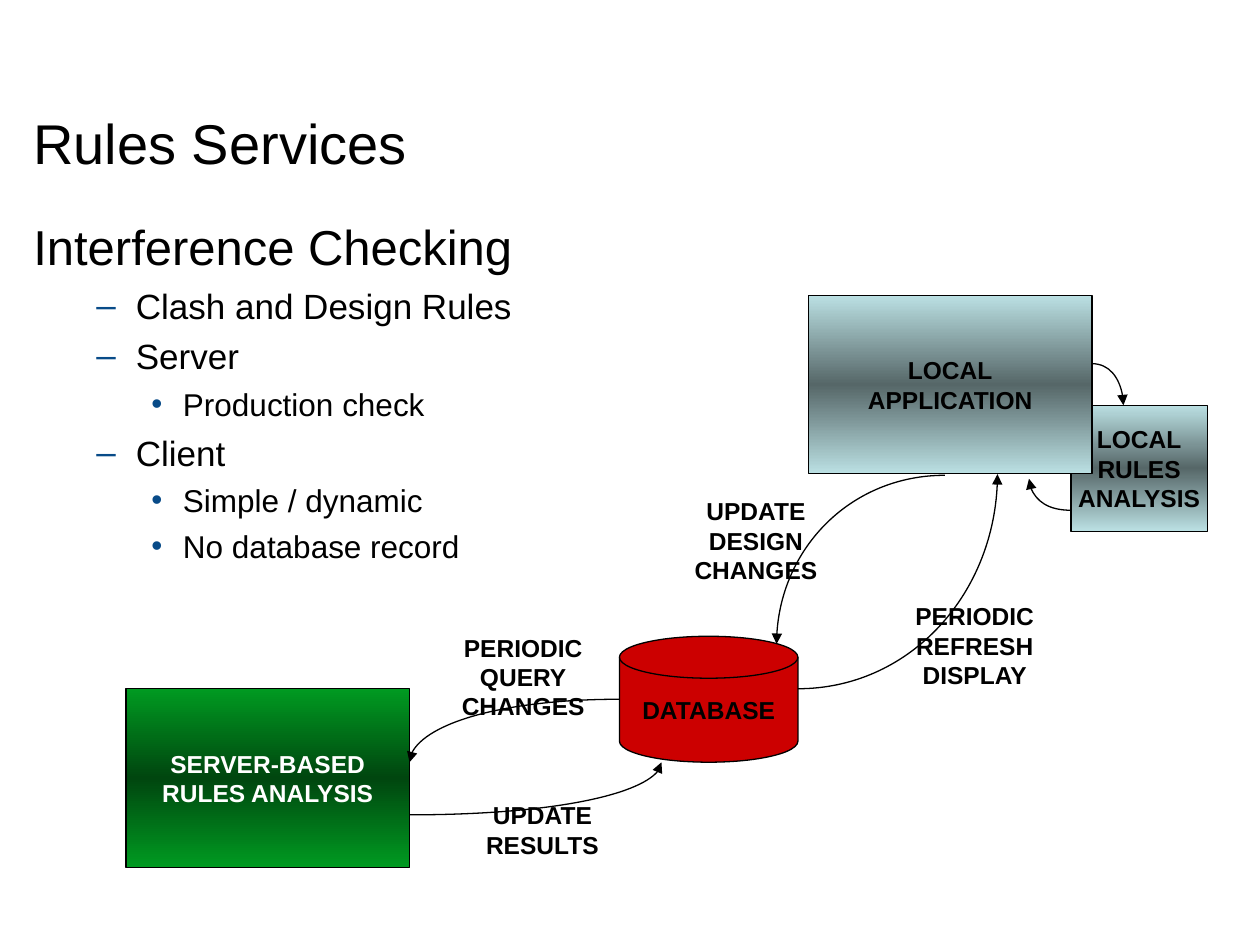
from copy import deepcopy
from dataclasses import dataclass

from lxml import etree
from pptx import Presentation
from pptx.dml.color import RGBColor
from pptx.enum import shapes, text
from pptx.oxml.ns import qn
from pptx.util import Pt

HUES = {"ink": "000000", "white": "FFFFFF", "mark": "084B88", "red": "CC0000",
        "pale": "BBE0E3", "slate": "566768", "green": "009A21", "pine": "00460F"}
RECT = shapes.MSO_SHAPE.RECTANGLE
DISK = shapes.MSO_SHAPE.FLOWCHART_MAGNETIC_DISK
BEND = 0.55


@dataclass
class Level:
    size: float
    space: float
    left: float = 0
    hang: float = 0
    mark: str = ""


@dataclass
class Box:
    kind: shapes.MSO_SHAPE
    area: tuple
    words: str
    fills: tuple
    ink: str = "ink"


@dataclass
class Label:
    area: tuple
    words: str


@dataclass
class Curve:
    start: tuple
    end: tuple
    area: tuple


HEAD = Level(32, 0)
LEVELS = [Level(28, 7), Level(20, 5, 58.5, 22.5, "–"), Level(18, 4.5, 85.5, 18, "•")]
ITEMS = [(0, "Interference Checking"), (1, "Clash and Design Rules"), (1, "Server"),
         (2, "Production check"), (1, "Client"), (2, "Simple / dynamic"),
         (2, "No database record")]
BOXES = [
    Box(RECT, (612, 231.6, 78, 72), "LOCAL\nRULES\nANALYSIS", ("pale", "slate", "pale")),
    Box(RECT, (72, 393.6, 162, 102), "SERVER-BASED\nRULES ANALYSIS",
        ("green", "pine", "green"), "white"),
    Box(DISK, (354, 363.6, 102, 72), "DATABASE", ("red",)),
    Box(RECT, (462, 168.8, 162, 102), "LOCAL\nAPPLICATION", ("pale", "slate", "pale")),
]
CURVES = [
    Curve((456, 393.6), (570, 271), (342, 141.6, 228, 252)),
    Curve((354, 399.6), (234, 435.6), (234, 399.6, 240, 72)),
    Curve((234, 465.6), (378, 435.6), (90, 405.6, 288, 60)),
    Curve((540, 271.6), (443.8, 368), (443.8, 271.6, 185, 192)),
    Curve((624, 207.8), (642, 231.6), (606, 207.8, 36, 48)),
    Curve((612, 291.6), (588, 273.6), (588, 255.6, 48, 36)),
]
LABELS = [
    Label((255, 358, 88, 57.5), "PERIODIC\nQUERY\nCHANGES"),
    Label((270, 453.6, 80, 41), "UPDATE\nRESULTS"),
    Label((388, 280, 88, 57.5), "UPDATE\nDESIGN\nCHANGES"),
    Label((516, 340, 82, 57.5), "PERIODIC\nREFRESH\nDISPLAY"),
]


def hue(name: str) -> RGBColor:
    """Return the named colour."""
    return RGBColor.from_string(HUES[name])


def style(part, size: float, ink: str = "ink", bold: bool = False) -> None:
    """Set the font of a run."""
    for key, value in {"name": "Arial", "size": Pt(size), "bold": bold}.items():
        setattr(part.font, key, value)
    part.font.color.rgb = hue(ink)


def frame(shape, wrap: bool, anchor: text.MSO_ANCHOR):
    """Set the text frame of a shape and return it."""
    body = shape.text_frame
    looks = {"word_wrap": wrap, "vertical_anchor": anchor,
             "margin_left": Pt(7.2), "margin_right": Pt(7.2),
             "margin_top": Pt(3.6), "margin_bottom": Pt(3.6)}
    for key, value in looks.items():
        setattr(body, key, value)
    return body


def caption(shape, words: str, ink: str = "ink") -> None:
    """Write centred bold lines, one paragraph each."""
    body = frame(shape, False, text.MSO_ANCHOR.MIDDLE)
    body.text = words
    for para in body.paragraphs:
        para.alignment = text.PP_ALIGN.CENTER
        style(para.runs[0], 14, ink, True)


def outline(shape) -> None:
    """Give a shape a thin dark line and no shadow."""
    shape.shadow.inherit = False
    shape.line.width = Pt(0.75)
    shape.line.color.rgb = hue("ink")


def paint(shape, fills: tuple) -> None:
    """Fill a shape with one colour or a three-stop vertical blend."""
    fill = shape.fill
    if len(fills) == 1:
        fill.solid()
        fill.fore_color.rgb = hue(fills[0])
        return
    fill.gradient()
    fill.gradient_angle = 90
    stops = shape._element.find(".//" + qn("a:gsLst"))
    stops.insert(1, deepcopy(stops[0]))
    for stop, name, place in zip(fill.gradient_stops, fills, (0, 0.5, 1)):
        stop.position = place
        stop.color.rgb = hue(name)


def outlined(slide, items: list, area: tuple, anchor: text.MSO_ANCHOR) -> None:
    """Draw a text box of levelled paragraphs."""
    body = frame(slide.shapes.add_textbox(*map(Pt, area)), True, anchor)
    for spot, (level, words) in enumerate(items):
        para = body.add_paragraph() if spot else body.paragraphs[0]
        run = para.add_run()
        run.text = words
        style(run, level.size)
        para.space_before = Pt(level.space)
        if level.mark:
            props = para._p.get_or_add_pPr()
            props.set("marL", str(Pt(level.left)))
            props.set("indent", str(-Pt(level.hang)))
            tint = etree.SubElement(props, qn("a:buClr"))
            etree.SubElement(tint, qn("a:srgbClr"), val=HUES["mark"])
            etree.SubElement(props, qn("a:buFont"), typeface="Arial")
            etree.SubElement(props, qn("a:buChar"), char=level.mark)


def draw_box(slide, box: Box) -> None:
    """Draw a filled shape with its caption."""
    shape = slide.shapes.add_shape(box.kind, *map(Pt, box.area))
    outline(shape)
    paint(shape, box.fills)
    caption(shape, box.words, box.ink)


def reframe(shape, track, area: tuple) -> None:
    """Widen the frame of a freeform to its whole ellipse, leaving its points in place."""
    left, top, width, height = map(Pt, area)
    shift = {"x": shape.left - left, "y": shape.top - top}
    for point in track.iter(qn("a:pt")):
        for axis, gap in shift.items():
            point.set(axis, str(int(point.get(axis)) + gap))
    track.set("w", str(width))
    track.set("h", str(height))
    shape.left, shape.top, shape.width, shape.height = left, top, width, height


def draw_curve(slide, curve: Curve) -> None:
    """Draw a quarter ellipse that leaves sideways and ends in an arrowhead."""
    (left, top), (right, low) = curve.start, curve.end
    points = [(left + BEND * (right - left), top),
              (right, low + BEND * (top - low)), (right, low)]
    pen = slide.shapes.build_freeform(Pt(left), Pt(top), scale=1.0)
    pen.add_line_segments([(Pt(x), Pt(y)) for x, y in points], close=False)
    shape = pen.convert_to_shape()
    outline(shape)
    shape.fill.background()
    track = shape._element.find(".//" + qn("a:path"))
    arc = etree.SubElement(track, qn("a:cubicBezTo"))
    for step in track.findall(qn("a:lnTo")):
        arc.append(step[0])
        track.remove(step)
    reframe(shape, track, curve.area)
    line = shape._element.spPr.find(qn("a:ln"))
    etree.SubElement(line, qn("a:tailEnd"), type="triangle")


def main() -> None:
    """Build the slide and save it."""
    deck = Presentation()
    deck.slide_width, deck.slide_height = Pt(720), Pt(540)
    slide = deck.slides.add_slide(deck.slide_layouts[6])
    outlined(slide, [(HEAD, "Rules Services")], (12, 36, 534, 90), text.MSO_ANCHOR.MIDDLE)
    items = [(LEVELS[rank], words) for rank, words in ITEMS]
    outlined(slide, items, (12, 120.2, 351, 325.5), text.MSO_ANCHOR.TOP)
    for box in BOXES:
        draw_box(slide, box)
    for curve in CURVES:
        draw_curve(slide, curve)
    for label in LABELS:
        caption(slide.shapes.add_textbox(*map(Pt, label.area)), label.words)
    deck.save("out.pptx")


if __name__ == "__main__":
    main()
